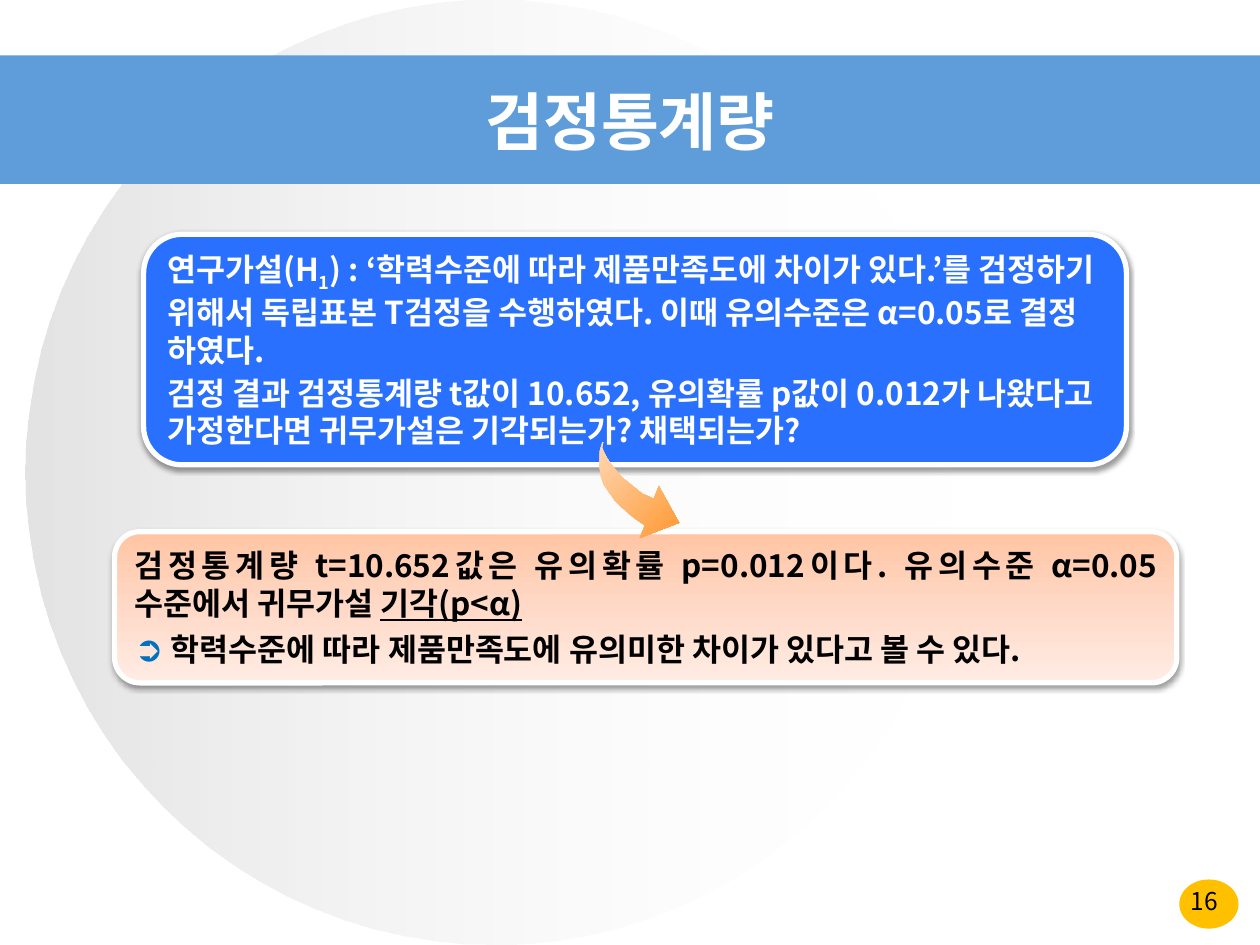
import pptx
import pptx.util
import pptx.dml.color
import pptx.enum.shapes
import pptx.enum.text
import pptx.oxml
import pptx.oxml.ns
from lxml import etree

Inches, Pt = pptx.util.Inches, pptx.util.Pt
RGBColor = pptx.dml.color.RGBColor
SHAPE = pptx.enum.shapes.MSO_SHAPE
ALIGN = pptx.enum.text.PP_ALIGN
ANCHOR = pptx.enum.text.MSO_ANCHOR
qn = pptx.oxml.ns.qn

FONT = "Noto Sans CJK KR"
WHITE = RGBColor(0xFF, 0xFF, 0xFF)
BLACK = RGBColor(0x00, 0x00, 0x00)
BAND_BLUE = RGBColor(0x5E, 0x9C, 0xDA)
QUESTION_BLUE = RGBColor(0x29, 0x70, 0xFF)
MARK_BLUE = RGBColor(0x00, 0x70, 0xC0)
BADGE_YELLOW = RGBColor(0xFF, 0xC0, 0x00)
SILVER = RGBColor(0xC0, 0xC0, 0xC0)
ANSWER_STOPS = [(0, RGBColor(0xFF, 0xC4, 0xA3), 100),
                (50, RGBColor(0xFF, 0xD9, 0xC7), 100),
                (100, RGBColor(0xFF, 0xEC, 0xE4), 100)]
ARROW_STOPS = [(0, RGBColor(0xFF, 0xD8, 0xB4), 100),
               (100, RGBColor(0xFF, 0x99, 0x33), 100)]
DISC_STOPS = [(0, SILVER, 44), (100, WHITE, 0)]

ARROW_OUTLINE = [
    (4.78, 3.51), (4.76, 3.58), (4.76, 3.71), (4.77, 3.78), (4.79, 3.84),
    (4.83, 3.9), (4.88, 3.97), (4.94, 4.03), (5.02, 4.1), (5.12, 4.17),
    (5.08, 4.27), (5.39, 4.15), (5.23, 3.86), (5.19, 3.96), (5.1, 3.92),
    (5.05, 3.88), (4.95, 3.8), (4.91, 3.76), (4.87, 3.71), (4.84, 3.67),
    (4.81, 3.62), (4.79, 3.58), (4.78, 3.55), (4.79, 3.51),
]


def box(left, top, width, height):
    return Inches(left), Inches(top), Inches(width), Inches(height)


def fill_gradient(shape, stops, angle):
    """Fill with (position %, colour, opacity %) stops; angle runs clockwise."""
    shape.fill.background()
    no_fill = shape.element.spPr.find(qn("a:noFill"))
    stop_xml = "".join(
        f'<a:gs pos="{pos * 1000}"><a:srgbClr val="{color}">'
        f'<a:alpha val="{opacity * 1000}"/></a:srgbClr></a:gs>'
        for pos, color, opacity in stops)
    gradient = pptx.oxml.parse_xml(
        f'<a:gradFill {pptx.oxml.ns.nsdecls("a")} rotWithShape="1">'
        f'<a:gsLst>{stop_xml}</a:gsLst>'
        f'<a:lin ang="{angle * 60000}" scaled="0"/></a:gradFill>')
    no_fill.getparent().replace(no_fill, gradient)


def add_drop_shadow(shape):
    effects = shape.element.spPr.find(qn("a:effectLst"))
    shadow = etree.SubElement(
        effects, qn("a:outerShdw"), blurRad=str(Pt(3.1)), dist=str(Pt(1.6)),
        dir="5400000", rotWithShape="0")
    color = etree.SubElement(shadow, qn("a:srgbClr"), val=str(BLACK))
    etree.SubElement(color, qn("a:alpha"), val="38000")


def set_font(font, size, color, bold=False):
    font.name, font.size, font.bold = FONT, Pt(size), bold
    font.color.rgb = color


def add_runs(paragraph, *texts):
    """Add runs that also name the font for Korean text."""
    runs = []
    for text in texts:
        run = paragraph.add_run()
        run.text = text
        etree.SubElement(run.font._element, qn("a:ea"), typeface=FONT)
        runs.append(run)
    return runs


def add_plain_shape(slide, kind, area, color=None):
    shape = slide.shapes.add_shape(kind, *area)
    shape.shadow.inherit = False
    shape.line.fill.background()
    if color is not None:
        shape.fill.solid()
        shape.fill.fore_color.rgb = color
    return shape


def add_card(slide, area, text_color, align):
    """Add a white-rimmed card and return it with its two paragraphs."""
    card = add_plain_shape(slide, SHAPE.ROUNDED_RECTANGLE, area)
    card.line.color.rgb = WHITE
    card.line.width = Pt(3)
    add_drop_shadow(card)
    frame = card.text_frame
    frame.word_wrap = True
    frame.vertical_anchor = ANCHOR.MIDDLE
    paragraphs = [frame.paragraphs[0], frame.add_paragraph()]
    for paragraph in paragraphs:
        paragraph.alignment = align
        paragraph.space_before = Pt(3)
        set_font(paragraph.font, 18, text_color, bold=True)
    return card, paragraphs


def add_backdrop(slide, disc_area, band_area):
    disc = add_plain_shape(slide, SHAPE.OVAL, disc_area)
    fill_gradient(disc, DISC_STOPS, 0)
    add_plain_shape(slide, SHAPE.RECTANGLE, band_area, BAND_BLUE)


def add_title(slide, area):
    title = slide.shapes.title
    title.left, title.top, title.width, title.height = area
    title.text_frame.vertical_anchor = ANCHOR.MIDDLE
    heading = title.text_frame.paragraphs[0]
    heading.alignment = ALIGN.CENTER
    set_font(heading.font, 36, WHITE, bold=True)
    add_runs(heading, "검정통계량")
    # Bring the title in front of the band
    slide.shapes._spTree.append(title.element)


def add_page_number(slide, badge_area, number_area):
    add_plain_shape(slide, SHAPE.OVAL, badge_area, BADGE_YELLOW)
    frame = slide.shapes.add_textbox(*number_area).text_frame
    frame.word_wrap = True
    number = frame.paragraphs[0]
    number.alignment = ALIGN.CENTER
    set_font(number.font, 14, BLACK)
    add_runs(number, "16")


def add_question(slide, area):
    card, (hypothesis, question) = add_card(slide, area, WHITE, ALIGN.LEFT)
    card.fill.solid()
    card.fill.fore_color.rgb = QUESTION_BLUE
    _, subscript, _ = add_runs(
        hypothesis, "연구가설(H", "1",
        ") : ‘학력수준에 따라 제품만족도에 차이가 있다.’를 검정하기 위해서 "
        "독립표본 T검정을 수행하였다. 이때 유의수준은 α=0.05로 결정 하였다.")
    subscript.font._element.set("baseline", "-25000")
    add_runs(question,
             "검정 결과 검정통계량 t값이 10.652, 유의확률 p값이 0.012가 "
             "나왔다고 가정한다면 귀무가설은 기각되는가? 채택되는가?")


def add_answer(slide, area):
    card, (decision, meaning) = add_card(slide, area, BLACK, ALIGN.JUSTIFY)
    fill_gradient(card, ANSWER_STOPS, 90)
    _, verdict = add_runs(
        decision,
        "검정통계량 t=10.652값은 유의확률 p=0.012이다. "
        "유의수준 α=0.05 수준에서 귀무가설 ",
        "기각(p<α)")
    verdict.font.underline = True
    mark, _ = add_runs(
        meaning, "➲",
        " 학력수준에 따라 제품만족도에 유의미한 차이가 있다고 볼 수 있다.")
    mark.font.size = Pt(20)
    mark.font.color.rgb = MARK_BLUE


def add_arrow(slide, outline):
    points = [(Inches(x), Inches(y)) for x, y in outline]
    builder = slide.shapes.build_freeform(*points[0])
    builder.add_line_segments(points[1:], close=True)
    arrow = builder.convert_to_shape()
    arrow.shadow.inherit = False
    arrow.line.fill.background()
    fill_gradient(arrow, ARROW_STOPS, 45)


def main():
    deck = pptx.Presentation()
    deck.slide_width, deck.slide_height = Inches(10), Inches(7.5)
    slide = deck.slides.add_slide(deck.slide_layouts[5])
    add_backdrop(slide, box(0.2, 0, 7.44, 7.5), box(0, 0.44, 10, 1.02))
    add_title(slide, box(0, 0.58, 10, 0.75))
    add_page_number(slide, box(9.36, 6.98, 0.47, 0.39),
                    box(9.12, 6.98, 0.88, 0.29))
    add_question(slide, box(1.14, 1.86, 7.8, 1.83))
    add_answer(slide, box(0.91, 4.22, 8.43, 1.2))
    add_arrow(slide, ARROW_OUTLINE)
    deck.save("out.pptx")


if __name__ == "__main__":
    main()
